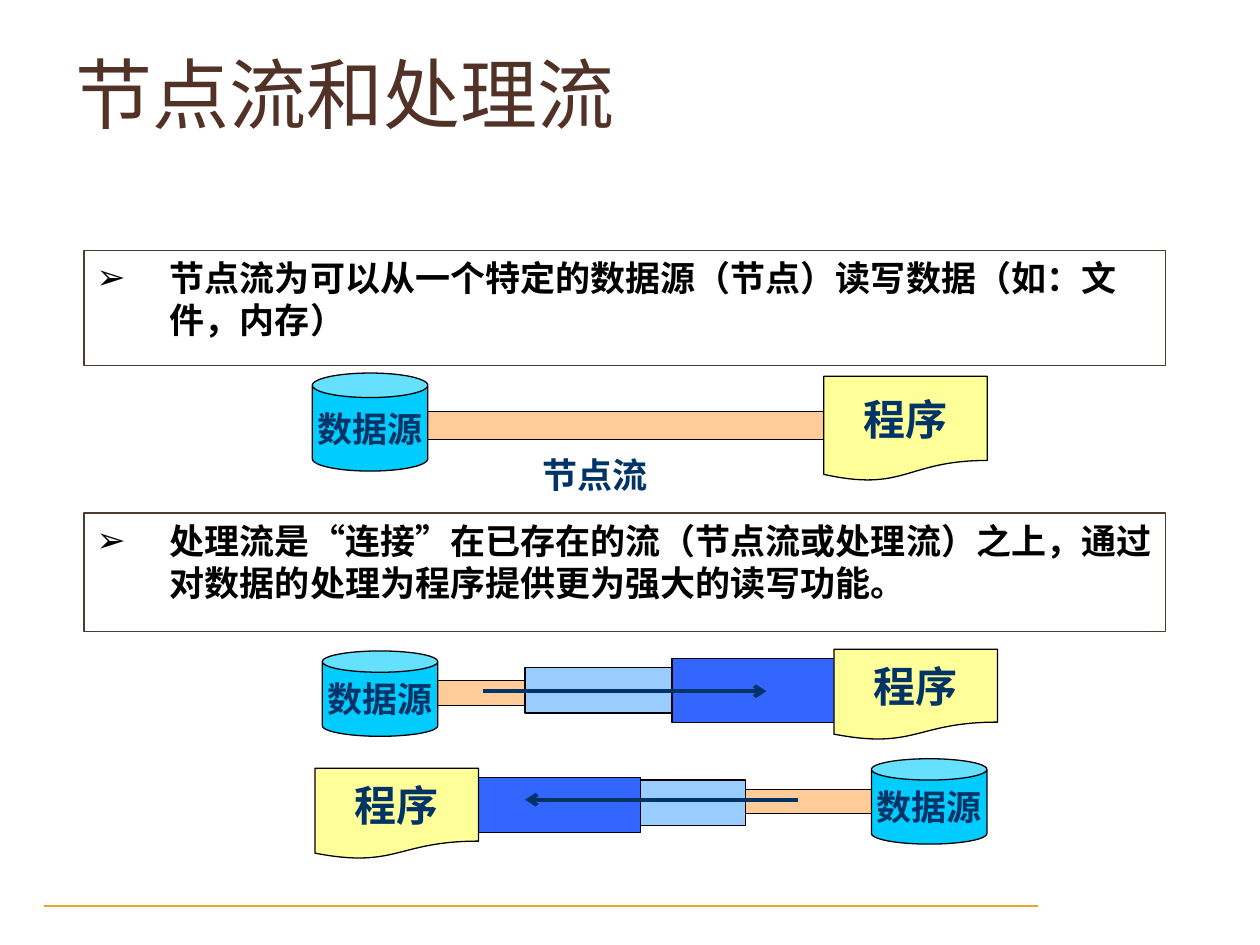
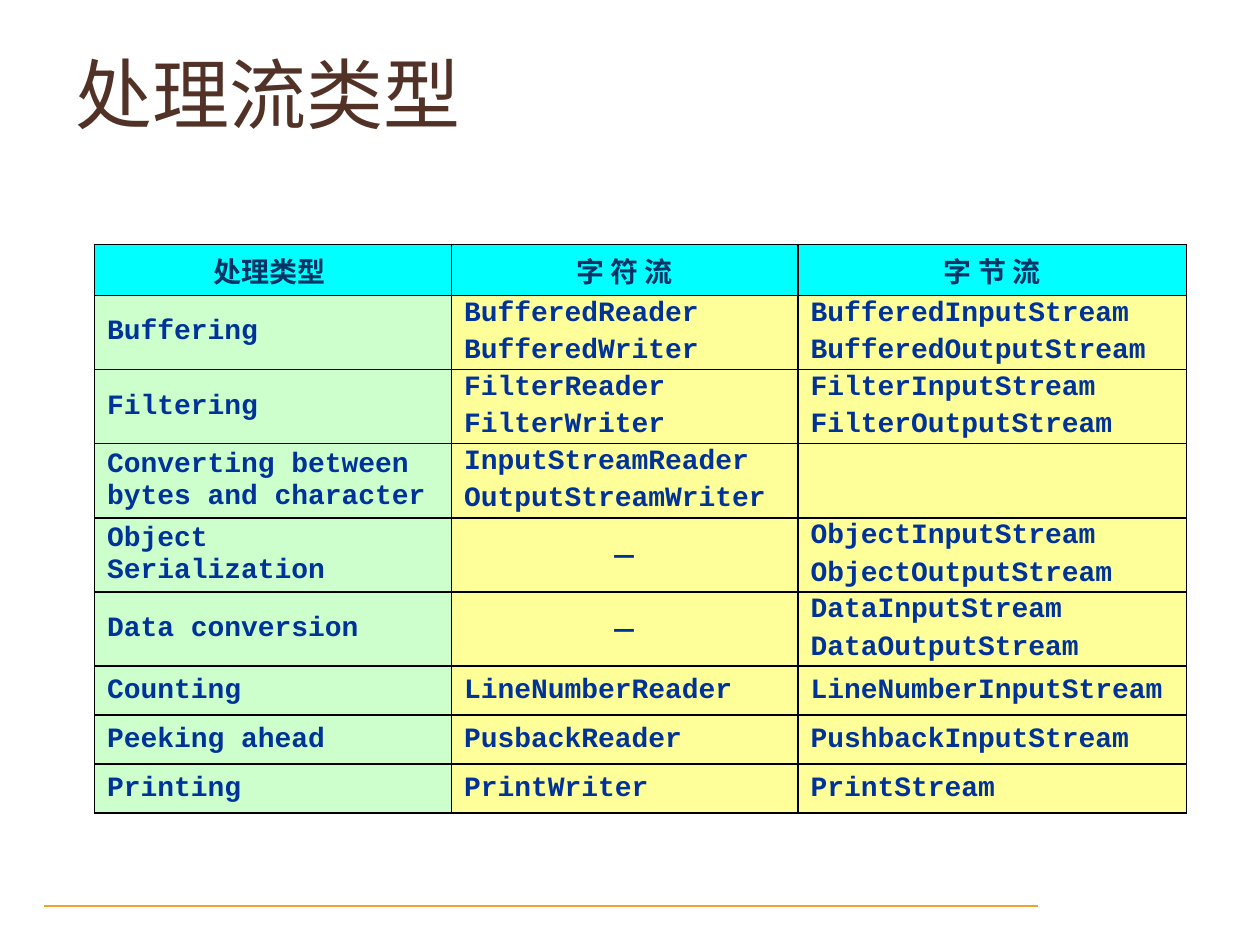
from dataclasses import dataclass
from typing import Any, NamedTuple, Optional

import lxml.etree
import pptx
import pptx.dml.color
import pptx.enum.shapes
import pptx.enum.text
import pptx.oxml.ns
import pptx.slide
import pptx.text.text
import pptx.util

Pt = pptx.util.Pt
RGBColor = pptx.dml.color.RGBColor
MSO_SHAPE = pptx.enum.shapes.MSO_SHAPE
PP_ALIGN = pptx.enum.text.PP_ALIGN
MSO_ANCHOR = pptx.enum.text.MSO_ANCHOR
qn = pptx.oxml.ns.qn

BLACK = RGBColor(0x00, 0x00, 0x00)
WHITE = RGBColor(0xFF, 0xFF, 0xFF)
BROWN = RGBColor(0x52, 0x32, 0x27)
FRAME = RGBColor(0x4E, 0x3B, 0x30)
GOLD = RGBColor(0xF0, 0xA2, 0x2E)
NAVY = RGBColor(0x00, 0x33, 0x66)
CODE_BLUE = RGBColor(0x00, 0x33, 0x99)
PEACH = RGBColor(0xFF, 0xCC, 0x99)
SKY = RGBColor(0x00, 0xCC, 0xFF)
YELLOW = RGBColor(0xFF, 0xFF, 0x99)
LIGHT_BLUE = RGBColor(0x99, 0xCC, 0xFF)
BLUE = RGBColor(0x33, 0x66, 0xFF)
CYAN = RGBColor(0x00, 0xFF, 0xFF)
MINT = RGBColor(0xCC, 0xFF, 0xCC)

CJK = "Noto Sans CJK SC"
SERIF = "Times New Roman"
MONO = "Courier New"
SANS = "Arial"


class Look(NamedTuple):
    preset: Any
    fill: RGBColor
    label: str = ""
    size: float = 20


SOURCE = Look(MSO_SHAPE.CAN, SKY, "数据源")
PROGRAM = Look(MSO_SHAPE.FLOWCHART_DOCUMENT, YELLOW, "程序", 24)
NODE_STREAM = Look(MSO_SHAPE.RECTANGLE, PEACH)
INNER_STREAM = Look(MSO_SHAPE.RECTANGLE, LIGHT_BLUE)
OUTER_STREAM = Look(MSO_SHAPE.RECTANGLE, BLUE)


@dataclass(frozen=True)
class Block:
    look: Look
    left: float
    top: float
    width: float
    height: float


@dataclass(frozen=True)
class Point:
    text: str
    top: float
    height: float


@dataclass(frozen=True)
class Arrow:
    start: float
    end: float
    y: float


POINTS = [
    Point("节点流为可以从一个特定的数据源（节点）读写数据（如：文件，内存）", 143, 66),
    Point("处理流是“连接”在已存在的流（节点流或处理流）之上，"
          "通过对数据的处理为程序提供更为强大的读写功能。", 293.2, 67.8),
]

BLOCKS = [
    # one node stream
    Block(NODE_STREAM, 240.5, 235.2, 236, 16),
    Block(SOURCE, 178.5, 213.2, 66, 56),
    Block(PROGRAM, 470.7, 215, 93.5, 60),
    # wrapped streams, reading
    Block(NODE_STREAM, 247, 389, 236, 14),
    Block(INNER_STREAM, 300, 381.5, 84, 26),
    Block(OUTER_STREAM, 384, 376.3, 96, 36.7),
    Block(SOURCE, 184.2, 372, 66, 48.8),
    Block(PROGRAM, 476.6, 371, 93.5, 52),
    # wrapped streams, writing
    Block(NODE_STREAM, 262, 451.2, 236, 13.8),
    Block(SOURCE, 498, 433.6, 66, 48.8),
    Block(INNER_STREAM, 342, 445.7, 84, 26),
    Block(OUTER_STREAM, 270, 444.2, 96, 31.5),
    Block(PROGRAM, 180, 439, 93.5, 52),
]

ARROWS = [Arrow(276, 438, 395), Arrow(456, 300, 457)]

COLUMN_WIDTHS = [204, 198, 222]
HEADER_HEIGHT = 29
LINE_HEIGHTS = {1: 28, 2: 42.4}
NO_CLASS = "－"
HEADER = ("处理类型 ", "字 符 流", "字 节 流")
STREAM_TYPES = [
    ("Buffering", "BufferedReader\nBufferedWriter",
     "BufferedInputStream\nBufferedOutputStream"),
    ("Filtering", "FilterReader\nFilterWriter",
     "FilterInputStream\nFilterOutputStream"),
    ("Converting between bytes and character",
     "InputStreamReader\nOutputStreamWriter", ""),
    ("Object Serialization", NO_CLASS, "ObjectInputStream\nObjectOutputStream"),
    ("Data conversion", NO_CLASS, "DataInputStream\nDataOutputStream"),
    ("Counting", "LineNumberReader", "LineNumberInputStream"),
    ("Peeking ahead", "PusbackReader", "PushbackInputStream"),
    ("Printing", "PrintWriter", "PrintStream"),
]


def write_text(tf: pptx.text.text.TextFrame, text: str, *, size: float = 20,
               color: RGBColor = NAVY, font: str = SERIF, bold: bool = True,
               align: Any = PP_ALIGN.LEFT, after: float = 0,
               bullet: Optional[str] = None, hanging: float = 0) -> None:
    """Fill a text frame, one paragraph for each line of text."""
    for i, line in enumerate(text.split("\n")):
        p = tf.paragraphs[0] if i == 0 else tf.add_paragraph()
        p.alignment = align
        p.space_after = Pt(after)
        pPr = p._p.get_or_add_pPr()
        pPr.set("hangingPunct", "0")
        if bullet:
            pPr.set("marL", str(Pt(hanging)))
            pPr.set("indent", str(-Pt(hanging)))
            lxml.etree.SubElement(pPr, qn("a:buFont"), typeface=SANS)
            lxml.etree.SubElement(pPr, qn("a:buChar"), char=bullet)
        r = p.add_run()
        r.text = line
        r.font.size = Pt(size)
        r.font.bold = bold
        r.font.color.rgb = color
        r.font.name = font
        lxml.etree.SubElement(r._r.get_or_add_rPr(), qn("a:ea"), typeface=CJK)


def add_block(s: pptx.slide.Slide, preset: Any, left: float, top: float,
              width: float, height: float, fill: RGBColor,
              line: RGBColor = BLACK, weight: float = 0.75) -> Any:
    sp = s.shapes.add_shape(preset, Pt(left), Pt(top), Pt(width), Pt(height))
    sp.shadow.inherit = False
    sp.fill.solid()
    sp.fill.fore_color.rgb = fill
    sp.line.color.rgb = line
    sp.line.width = Pt(weight)
    return sp


def add_titled_slide(prs: Any, title: str) -> pptx.slide.Slide:
    s = prs.slides.add_slide(prs.slide_layouts[5])
    add_block(s, MSO_SHAPE.RECTANGLE, 24, 516.3, 570, 3.3, GOLD, WHITE, 2)
    sp = s.shapes.title
    sp.left, sp.top, sp.width, sp.height = Pt(36), Pt(21.6), Pt(492), Pt(62.4)
    tf = sp.text_frame
    tf.auto_size = pptx.enum.text.MSO_AUTO_SIZE.NONE
    tf.vertical_anchor = MSO_ANCHOR.MIDDLE
    write_text(tf, title, size=44, color=BROWN, font=CJK, bold=False)
    return s


def add_point(s: pptx.slide.Slide, point: Point) -> None:
    sp = add_block(s, MSO_SHAPE.RECTANGLE, 48, point.top, 618, point.height,
                   WHITE, FRAME)
    tf = sp.text_frame
    tf.word_wrap = True
    tf.vertical_anchor = MSO_ANCHOR.TOP
    write_text(tf, point.text, color=BLACK, bullet="➢", hanging=42)


def add_stream_block(s: pptx.slide.Slide, block: Block) -> None:
    look = block.look
    sp = add_block(s, look.preset, block.left, block.top, block.width,
                   block.height, look.fill)
    if look.label:
        tf = sp.text_frame
        tf.word_wrap = False
        tf.vertical_anchor = MSO_ANCHOR.MIDDLE
        write_text(tf, look.label, size=look.size, align=PP_ALIGN.CENTER)


def add_arrow(s: pptx.slide.Slide, arrow: Arrow) -> None:
    c = s.shapes.add_connector(pptx.enum.shapes.MSO_CONNECTOR.STRAIGHT,
                               Pt(arrow.start), Pt(arrow.y),
                               Pt(arrow.end), Pt(arrow.y))
    c.line.color.rgb = NAVY
    c.line.width = Pt(2.25)
    lxml.etree.SubElement(c.line._get_or_add_ln(), qn("a:tailEnd"), type="arrow")
    lxml.etree.SubElement(c._element.spPr, qn("a:effectLst"))


def format_cell(cell: Any, fill: RGBColor) -> None:
    """Set the borders, fill, margins and anchor of a table cell."""
    tcPr = cell._tc.get_or_add_tcPr()
    for side in "LRTB":
        ln = lxml.etree.SubElement(tcPr, qn(f"a:ln{side}"), w=str(Pt(1)))
        solid = lxml.etree.SubElement(ln, qn("a:solidFill"))
        lxml.etree.SubElement(solid, qn("a:srgbClr"), val=str(BLACK))
    cell.fill.solid()
    cell.fill.fore_color.rgb = fill
    cell.margin_left = cell.margin_right = Pt(7.2)
    cell.margin_top = cell.margin_bottom = Pt(1.44)
    cell.vertical_anchor = MSO_ANCHOR.MIDDLE


def add_type_table(s: pptx.slide.Slide) -> None:
    rows = [HEADER, *STREAM_TYPES]
    heights = [HEADER_HEIGHT]
    for row in STREAM_TYPES:
        heights.append(LINE_HEIGHTS[1 + max(t.count("\n") for t in row)])
    frame = s.shapes.add_table(len(rows), len(HEADER), Pt(54), Pt(139.8),
                               Pt(sum(COLUMN_WIDTHS)), Pt(sum(heights)))
    table = frame.table
    table.horz_banding = False
    for column, width in zip(table.columns, COLUMN_WIDTHS):
        column.width = Pt(width)
    for i, (texts, height) in enumerate(zip(rows, heights)):
        table.rows[i].height = Pt(height)
        is_header = i == 0
        for j, text in enumerate(texts):
            cell = table.cell(i, j)
            format_cell(cell, CYAN if is_header else MINT if j == 0 else YELLOW)
            if text:
                centred = is_header or text == NO_CLASS
                write_text(cell.text_frame, text, size=16, after=3.2,
                           color=NAVY if is_header else CODE_BLUE,
                           font=SANS if is_header else MONO,
                           align=PP_ALIGN.CENTER if centred else PP_ALIGN.LEFT)


def build_stream_slide(prs: Any) -> None:
    s = add_titled_slide(prs, "节点流和处理流")
    for point in POINTS:
        add_point(s, point)
    for block in BLOCKS:
        add_stream_block(s, block)
    label = s.shapes.add_textbox(Pt(303), Pt(255.6), Pt(75), Pt(31))
    label.text_frame.word_wrap = False
    write_text(label.text_frame, "节点流")
    for arrow in ARROWS:
        add_arrow(s, arrow)


def main() -> None:
    prs = pptx.Presentation()
    prs.slide_width, prs.slide_height = Pt(720), Pt(540)
    build_stream_slide(prs)
    add_type_table(add_titled_slide(prs, "处理流类型"))
    prs.save("out.pptx")


if __name__ == "__main__":
    main()
